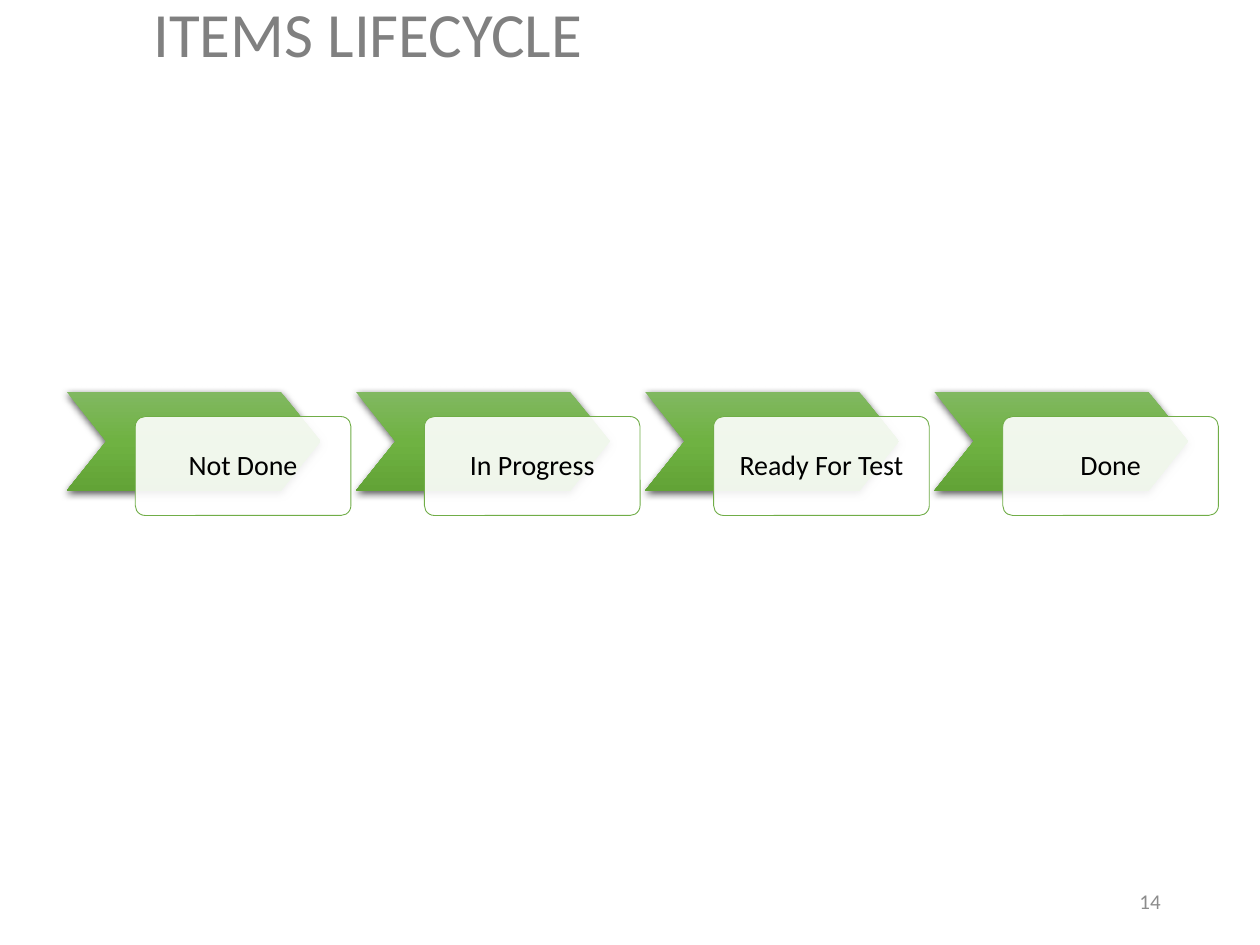
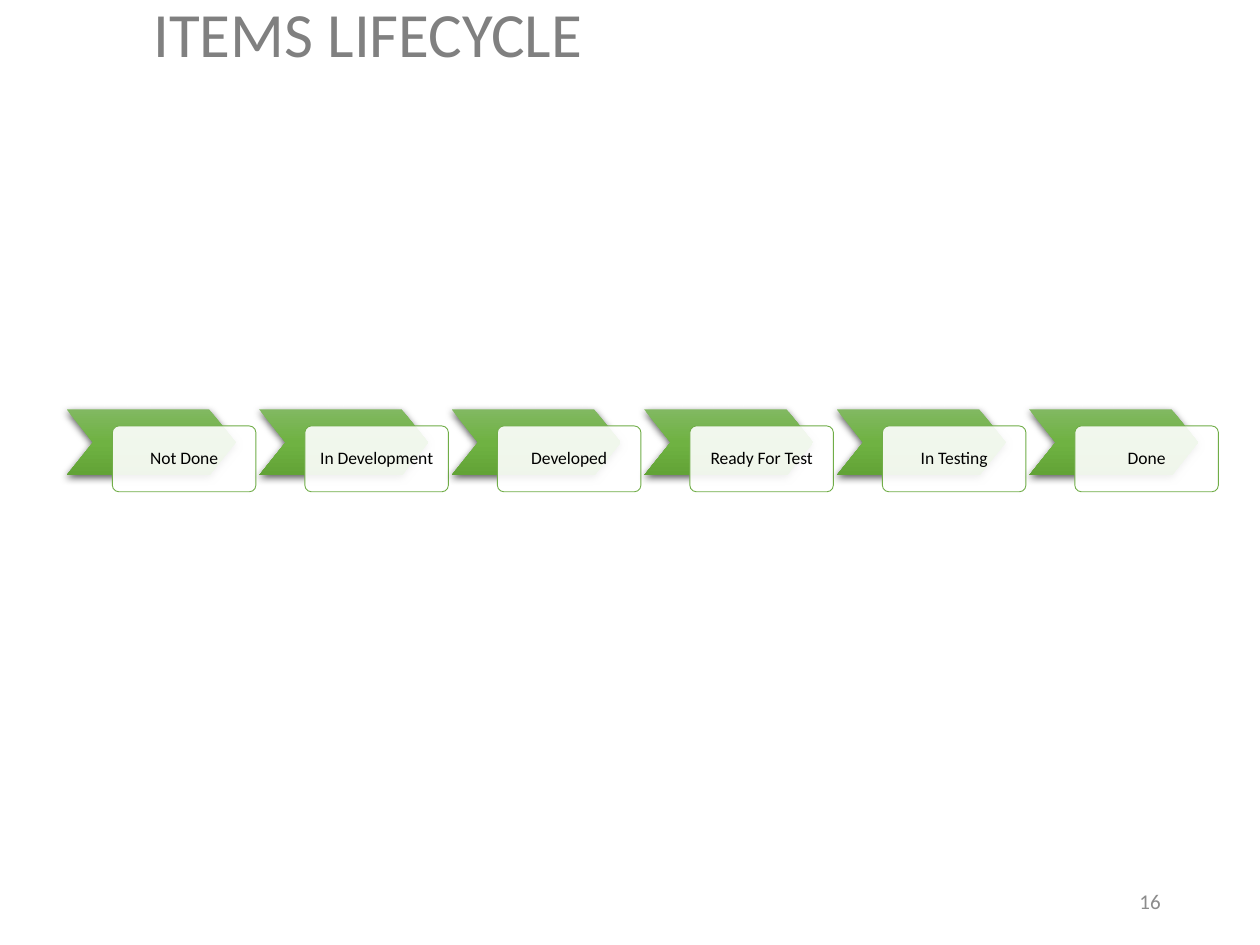
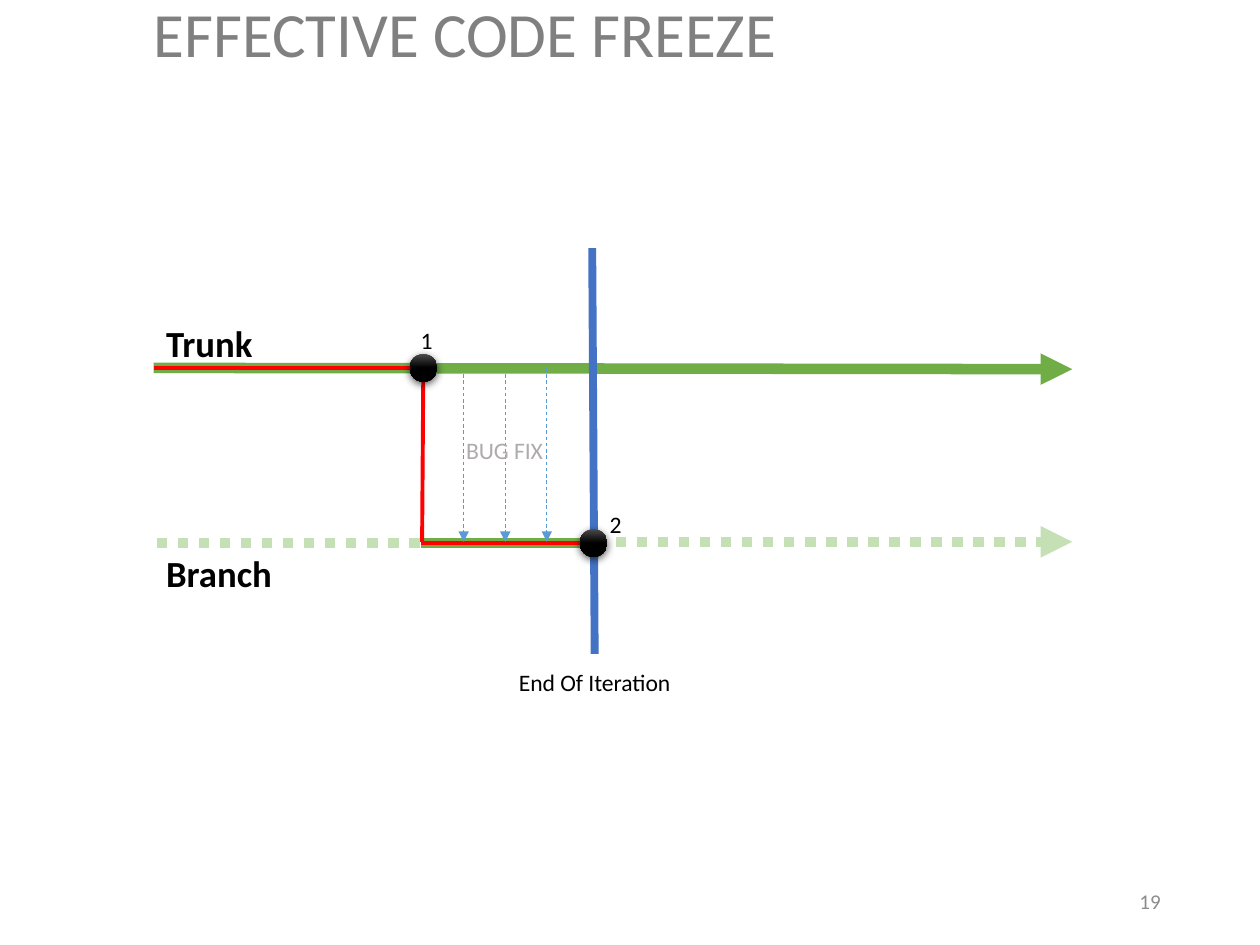
import pptx
import pptx.dml.color
import pptx.enum.dml
import pptx.enum.shapes
import pptx.enum.text
import pptx.oxml.ns
import pptx.util
from lxml import etree

Inches = pptx.util.Inches
Pt = pptx.util.Pt
qn = pptx.oxml.ns.qn
Align = pptx.enum.text.PP_ALIGN
Anchor = pptx.enum.text.MSO_ANCHOR
Dash = pptx.enum.dml.MSO_LINE
Preset = pptx.enum.shapes.MSO_SHAPE

FONT = "Calibri"
COLORS = {
    "title": "808080",
    "page_number": "8C8C8C",
    "text": "000000",
    "faint_text": "AFABAB",
    "card": "FFFFFF",
    "green": "70AD47",
    "pale_green": "C5E0B4",
    "iteration": "4472C4",
    "flow": "FF0000",
    "fix": "5B9BD5",
    "shadow": "000000",
}
CHEVRON_GRADIENT = [(0, "81B861"), (50, "6FB242"), (100, "62A336")]
COMMIT_GRADIENT = [(0, "4B4B4B"), (50, "000000"), (100, "000000")]

ROW_LEFT, ROW_WIDTH = 0.53, 9.14
STEP_RATIO, CARD_SHIFT, CARD_RATIO, HEIGHT_RATIO = 1.14, 0.27, 0.85, 0.39


def rgb(name):
    return pptx.dml.color.RGBColor.from_string(COLORS[name])


def format_text(frame, text, size, color="text", bold=False, align=Align.LEFT):
    frame.text = text
    para = frame.paragraphs[0]
    para.alignment = align
    span = para.runs[0]
    span.font.name = FONT
    span.font.size = Pt(size)
    span.font.bold = bold
    span.font.color.rgb = rgb(color)
    return para


def add_label(page, text, left, top, width, height, size, color="text", bold=False):
    box = page.shapes.add_textbox(Inches(left), Inches(top), Inches(width), Inches(height))
    frame = box.text_frame
    frame.word_wrap = False
    frame.auto_size = pptx.enum.text.MSO_AUTO_SIZE.SHAPE_TO_FIT_TEXT
    format_text(frame, text, size, color, bold)


def add_page(deck, title, title_width, number):
    page = deck.slides.add_slide(deck.slide_layouts[6])
    add_label(page, title, 1.12, -0.09, title_width, 0.71, 36, "title")
    box = page.shapes.add_textbox(Inches(7.06), Inches(6.95), Inches(2.25), Inches(0.4))
    frame = box.text_frame
    frame.word_wrap = True
    frame.vertical_anchor = Anchor.MIDDLE
    format_text(frame, str(number), 12, "page_number", align=Align.RIGHT)
    return page


def add_preset(page, preset, left, top, width, height):
    shape = page.shapes.add_shape(
        preset, Inches(left), Inches(top), Inches(width), Inches(height)
    )
    shape.shadow.inherit = False
    return shape


def add_glossy(page, preset, left, top, width, height, stops):
    shape = add_preset(page, preset, left, top, width, height)
    shape.line.fill.background()
    shape.fill.gradient()
    shape.fill.gradient_angle = 270
    properties = shape.element.spPr
    stop_list = properties.find(".//" + qn("a:gsLst"))
    for stop in list(stop_list):
        stop_list.remove(stop)
    for position, color in stops:
        stop = etree.SubElement(stop_list, qn("a:gs"), pos=str(position * 1000))
        etree.SubElement(stop, qn("a:srgbClr"), val=color)
    shadow = etree.SubElement(
        properties.find(qn("a:effectLst")), qn("a:outerShdw"),
        blurRad=str(Pt(4.5)), dist=str(Pt(1.5)), dir="5400000", rotWithShape="0",
    )
    tint = etree.SubElement(shadow, qn("a:srgbClr"), val=COLORS["shadow"])
    etree.SubElement(tint, qn("a:alpha"), val="63000")
    return shape


def add_card(page, text, left, top, width, height, size):
    card = add_preset(page, Preset.ROUNDED_RECTANGLE, left, top, width, height)
    card.adjustments[0] = 0.1
    card.fill.solid()
    card.fill.fore_color.rgb = rgb("card")
    tint = card.element.spPr.find(qn("a:solidFill")).find(qn("a:srgbClr"))
    etree.SubElement(tint, qn("a:alpha"), val="90000")
    card.line.color.rgb = rgb("green")
    card.line.width = Pt(0.5)
    frame = card.text_frame
    frame.word_wrap = True
    frame.vertical_anchor = Anchor.MIDDLE
    inset = Inches(size * 0.0075)
    frame.margin_left = frame.margin_right = inset
    frame.margin_top = frame.margin_bottom = inset
    para = format_text(frame, text, size, align=Align.CENTER)
    para.line_spacing = 0.9


def add_lifecycle(page, stages, top, size):
    width = ROW_WIDTH / ((len(stages) - 1) * STEP_RATIO + CARD_SHIFT + CARD_RATIO)
    height = width * HEIGHT_RATIO
    for index, stage in enumerate(stages):
        left = ROW_LEFT + index * width * STEP_RATIO
        chevron = add_glossy(
            page, Preset.CHEVRON, left, top, width, height, CHEVRON_GRADIENT
        )
        chevron.adjustments[0] = 0.4
        add_card(page, stage, left + width * CARD_SHIFT, top + height / 4,
                 width * CARD_RATIO, height, size)


def add_line(page, start, end, color, width, dash=None, arrow=False):
    line = page.shapes.add_connector(
        pptx.enum.shapes.MSO_CONNECTOR.STRAIGHT,
        Inches(start[0]), Inches(start[1]), Inches(end[0]), Inches(end[1]),
    )
    line.line.color.rgb = rgb(color)
    line.line.width = Pt(width)
    if dash:
        line.line.dash_style = dash
    properties = line.element.spPr
    if arrow:
        etree.SubElement(properties.find(qn("a:ln")), qn("a:tailEnd"), type="triangle")
    etree.SubElement(properties, qn("a:effectLst"))


def add_commit(page, left, top):
    add_glossy(page, Preset.FLOWCHART_CONNECTOR, left, top, 0.22, 0.22, COMMIT_GRADIENT)


def add_code_freeze(page):
    start, end, trunk, branch = 1.22, 8.51, 2.92, 4.31
    fork, release = 3.34, 4.72
    add_line(page, (start, trunk), (end, 2.93), "green", 6, arrow=True)
    add_line(page, (fork, branch), (4.71, branch), "green", 6)
    add_label(page, "Trunk", start, 2.5, 1.02, 0.45, 21, bold=True)
    add_label(page, "Branch", start, 4.32, 1.19, 0.45, 21, bold=True)
    add_line(page, (4.7, 1.97), (release, 5.19), "iteration", 4.5)
    add_label(page, "End Of Iteration", 4.02, 5.25, 1.42, 0.33, 13.5)

    add_line(page, (start, trunk), (3.36, trunk), "flow", 2.25)
    add_line(page, (3.36, 2.91), (3.35, 4.3), "flow", 2.25)
    add_line(page, (fork, branch), (release, branch), "flow", 2.25)
    add_line(page, (3.33, branch), (start, branch), "pale_green", 6, Dash.ROUND_DOT)
    add_line(page, (release, 4.3), (end, 4.3), "pale_green", 6, Dash.ROUND_DOT, True)
    add_commit(page, 4.6, 4.2)
    add_commit(page, 3.25, 2.81)

    for index in range(3):
        fix = 3.68 + index * 0.33
        add_line(page, (fix, trunk), (fix, 4.3), "fix", 0.5, Dash.DASH, True)
    add_label(page, "BUG FIX", 3.6, 3.41, 0.82, 0.33, 13.5, "faint_text")
    add_label(page, "1", 3.24, 2.54, 0.3, 0.33, 13.5)
    add_label(page, "2", 4.74, 4, 0.3, 0.33, 13.5)


def main():
    deck = pptx.Presentation()
    deck.slide_width = Inches(10)
    deck.slide_height = Inches(7.5)

    page = add_page(deck, "ITEMS LIFECYCLE", 4.03, 14)
    add_lifecycle(page, ["Not Done", "In Progress", "Ready For Test", "Done"], 3.11, 16)

    page = add_page(deck, "ITEMS LIFECYCLE", 4.03, 16)
    stages = ["Not Done", "In Development", "Developed",
              "Ready For Test", "In Testing", "Done"]
    add_lifecycle(page, stages, 3.25, 10)

    page = add_page(deck, "EFFECTIVE CODE FREEZE", 5.84, 19)
    add_code_freeze(page)

    deck.save("out.pptx")


if __name__ == "__main__":
    main()
